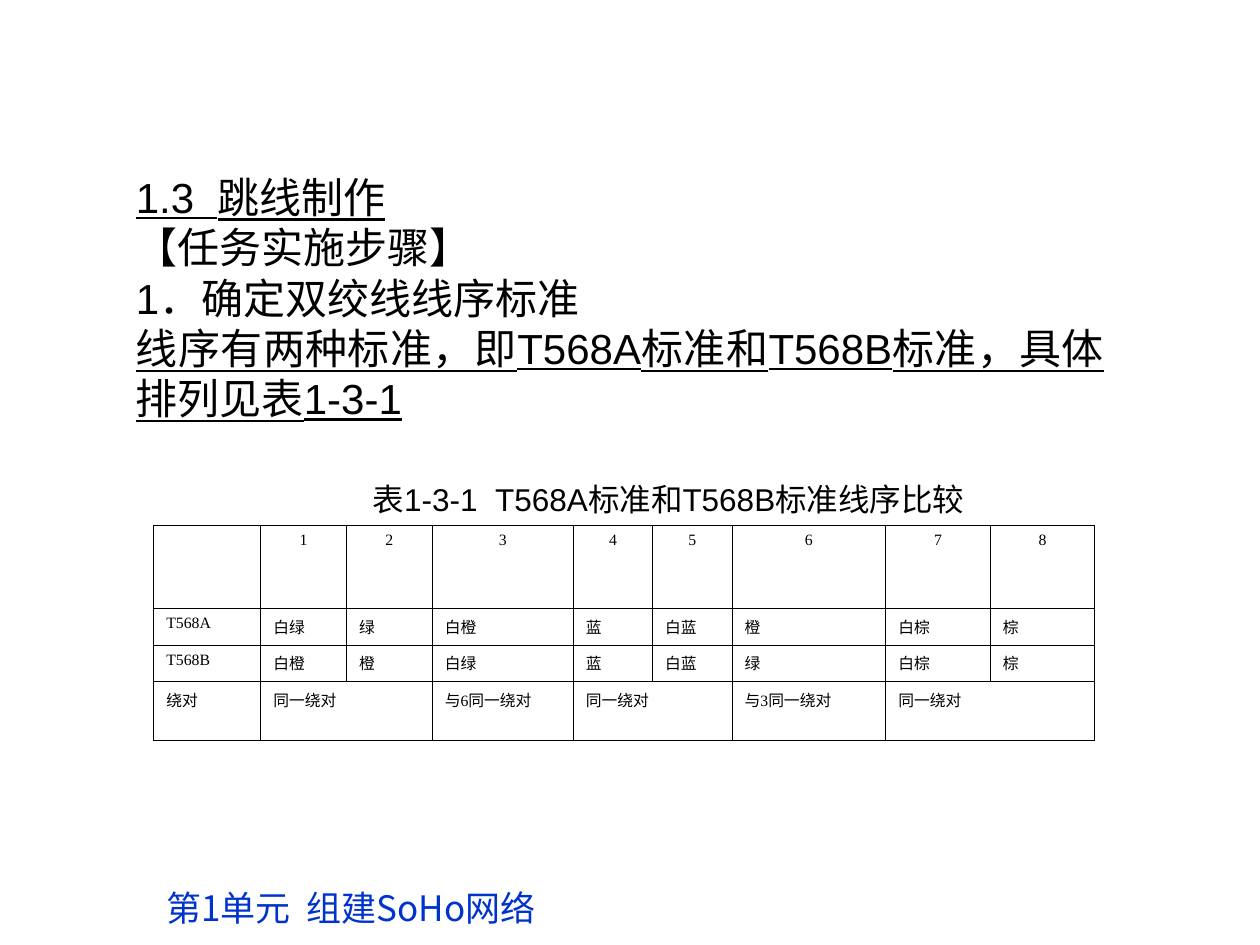
"""Build the slide on patch cable wiring standards."""
from lxml.etree import SubElement
from pptx import Presentation
from pptx.dml.color import RGBColor
from pptx.enum.text import MSO_AUTO_SIZE, PP_ALIGN
from pptx.oxml.ns import qn
from pptx.util import Inches, Pt

COLORS = {"text": "000000", "footer": "0033CC", "border": "000000"}
CHINESE_FONT = "Noto Sans CJK SC"
COLUMN_WIDTHS = [0.85, 0.68, 0.68, 1.12, 0.63, 0.63, 1.22, 0.83, 0.83]
ROW_HEIGHTS = [0.66, 0.29, 0.29, 0.47]
ROWS = [
    ["", "1", "2", "3", "4", "5", "6", "7", "8"],
    ["T568A", "白绿", "绿", "白橙", "蓝", "白蓝", "橙", "白棕", "棕"],
    ["T568B", "白橙", "橙", "白绿", "蓝", "白蓝", "绿", "白棕", "棕"],
    ["绕对", "同一绕对", "", "与6同一绕对", "同一绕对", "", "与3同一绕对", "同一绕对", ""],
]
PAIR_STARTS = [1, 4, 7]


def write_text(para, text, size=24, font="Arial", color="text", underline=False,
               align=PP_ALIGN.LEFT):
    """Add one formatted span to a paragraph."""
    para.alignment = align
    span = para.add_run()
    span.text = text
    span.font.size = Pt(size)
    span.font.name = font
    span.font.underline = underline
    span.font.color.rgb = RGBColor.from_string(COLORS[color])
    SubElement(span.font._element, qn("a:ea")).set("typeface", CHINESE_FONT)


def add_box(page, left, top, width, height, wrap=True):
    """Add an empty text box and return its text frame."""
    box = page.shapes.add_textbox(Inches(left), Inches(top), Inches(width), Inches(height))
    frame = box.text_frame
    frame.word_wrap = wrap
    frame.auto_size = MSO_AUTO_SIZE.SHAPE_TO_FIT_TEXT if wrap else MSO_AUTO_SIZE.NONE
    return frame


def add_steps(page):
    """Add the section heading and its steps."""
    frame = add_box(page, 0.98, 1.31, 7.88, 2.1)
    lines = [
        ("1.3  跳线制作", True),
        ("【任务实施步骤】", False),
        ("1．确定双绞线线序标准", False),
        ("线序有两种标准，即T568A标准和T568B标准，具体排列见表1-3-1", True),
    ]
    for index, (text, underline) in enumerate(lines):
        para = frame.add_paragraph() if index else frame.paragraphs[0]
        align = PP_ALIGN.JUSTIFY if underline else PP_ALIGN.LEFT
        write_text(para, text, underline=underline, align=align)


def border_cell(cell):
    """Draw thin lines on all four sides of a cell."""
    properties = cell._tc.get_or_add_tcPr()
    for index, side in enumerate(("a:lnL", "a:lnR", "a:lnT", "a:lnB")):
        line = properties.makeelement(qn(side), {"w": str(Pt(0.45))})
        fill = SubElement(line, qn("a:solidFill"))
        SubElement(fill, qn("a:srgbClr")).set("val", COLORS["border"])
        properties.insert(index, line)


def add_wiring_table(page):
    """Add the comparison of the two wiring standards."""
    frame = page.shapes.add_table(len(ROWS), len(COLUMN_WIDTHS), Inches(1.22), Inches(4.17),
                                  Inches(sum(COLUMN_WIDTHS)), Inches(sum(ROW_HEIGHTS)))
    table = frame.table
    table.first_row = table.horz_banding = False
    for column, width in zip(table.columns, COLUMN_WIDTHS):
        column.width = Inches(width)
    for row, height, texts in zip(table.rows, ROW_HEIGHTS, ROWS):
        row.height = Inches(height)
        align = PP_ALIGN.CENTER if texts is ROWS[0] else PP_ALIGN.LEFT
        for cell, text in zip(row.cells, texts):
            cell.fill.background()
            border_cell(cell)
            if text:
                write_text(cell.text_frame.paragraphs[0], text, size=9,
                           font="Times New Roman", align=align)
    for start in PAIR_STARTS:
        table.cell(3, start).merge(table.cell(3, start + 1))


def main():
    """Create the deck and save it."""
    deck = Presentation()
    deck.slide_width, deck.slide_height = Inches(10), Inches(7.5)
    page = deck.slides.add_slide(deck.slide_layouts[6])
    add_steps(page)
    footer = add_box(page, 1.22, 6.99, 3.94, 0.44).paragraphs[0]
    footer.space_before = Pt(12.5)
    write_text(footer, "第1单元  组建SoHo网络", size=20, font=CHINESE_FONT, color="footer")
    caption = add_box(page, 2.86, 3.76, 5.13, 0.7, wrap=False).paragraphs[0]
    write_text(caption, "表1-3-1  T568A标准和T568B标准线序比较", size=18)
    add_wiring_table(page)
    deck.save("out.pptx")


main()
